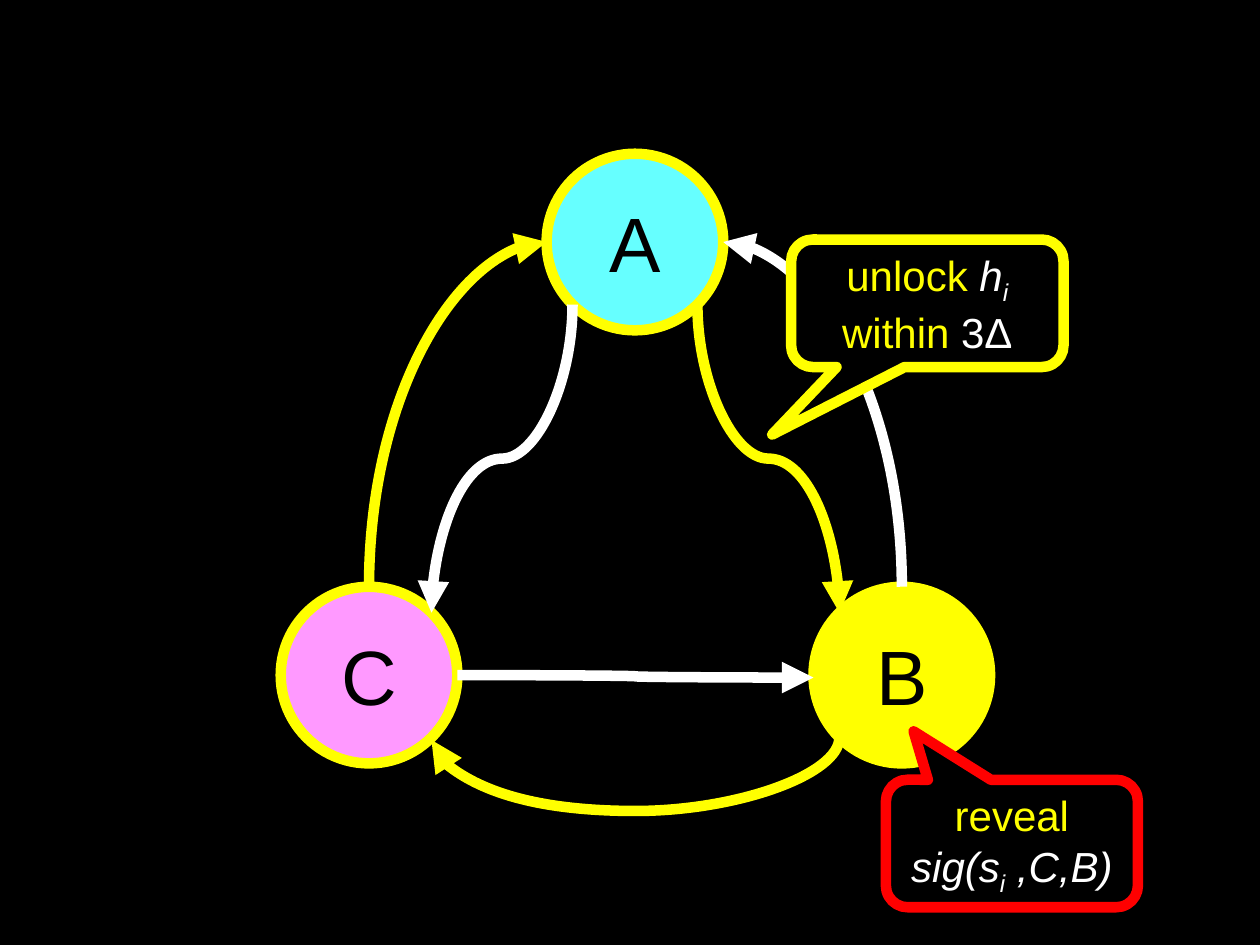
import math

import pptx
import pptx.dml.color
import pptx.enum.shapes
import pptx.enum.text
import pptx.oxml
import pptx.oxml.ns
import pptx.util
from pptx.util import Cm

SHAPES = pptx.enum.shapes.MSO_SHAPE
BLACK, WHITE, YELLOW, RED = "000000", "FFFFFF", "FFFF00", "FF0000"


def colour(value):
    return pptx.dml.color.RGBColor.from_string(value)


def element(tag, attributes=""):
    namespace = pptx.oxml.ns.nsdecls("a")
    return pptx.oxml.parse_xml(f"<a:{tag} {namespace} {attributes}/>")


class Diagram:
    font = "Arial"
    stroke = pptx.util.Pt(6)
    radius = 1.78

    def __init__(self, page):
        self.page = page
        page.background.fill.solid()
        page.background.fill.fore_color.rgb = colour(BLACK)

    def outline(self, line, value):
        line.width = self.stroke
        line.color.rgb = colour(value)

    def shape(self, kind, place, fill, line, size, spans):
        box = self.page.shapes.add_shape(kind, *map(Cm, place))
        box.shadow.inherit = False
        box.fill.solid()
        box.fill.fore_color.rgb = colour(fill)
        self.outline(box.line, line)
        box.text_frame.word_wrap = True
        box.text_frame.vertical_anchor = pptx.enum.text.MSO_ANCHOR.MIDDLE
        para = box.text_frame.paragraphs[0]
        para.alignment = pptx.enum.text.PP_ALIGN.CENTER
        para.font.name = self.font
        para.font.size = pptx.util.Pt(size)
        for text, value, style in spans:
            span = para.add_run()
            span.text = text
            span.font.color.rgb = colour(value)
            if style:
                span.font.italic = True
            if style == "subscript":
                span.font._element.set("baseline", "-25000")
        return box

    def party(self, name, centre, fill):
        left, top = (value - self.radius for value in centre)
        place = (left, top, 2 * self.radius, 2 * self.radius)
        self.shape(SHAPES.OVAL, place, fill, YELLOW, 44, [(name, BLACK, "")])

    def callout(self, place, line, pointer, spans):
        kind = SHAPES.ROUNDED_RECTANGULAR_CALLOUT
        box = self.shape(kind, place, BLACK, line, 24, spans)
        for index, value in enumerate(pointer):
            box.adjustments[index] = value

    def rim(self, centre, degrees, drop=0):
        angle = math.radians(degrees)
        return (centre[0] + self.radius * math.cos(angle),
                centre[1] - self.radius * math.sin(angle) + drop)

    def arrow(self, start, end, value):
        curve = pptx.enum.shapes.MSO_CONNECTOR.CURVE
        link = self.page.shapes.add_connector(curve, *map(Cm, start + end))
        self.outline(link.line, value)
        link.line._get_or_add_ln().append(element("tailEnd", 'type="triangle"'))
        link._element.spPr.append(element("effectLst"))
        return link

    def upright_arrow(self, start, end, value, preset="curvedConnector3", bend=0.5):
        link = self.arrow(start, end, value)
        across, down = end[0] - start[0], end[1] - start[1]
        width, height = abs(down), abs(across)
        link.left = Cm((start[0] + end[0] - width) / 2)
        link.top = Cm((start[1] + end[1] - height) / 2)
        link.width, link.height = Cm(width), Cm(height)
        frame = link._element.spPr.xfrm
        frame.rot = 90 if across * down < 0 else 270
        frame.flipH, frame.flipV = across > 0, down < 0
        geometry = link._element.spPr.find(pptx.oxml.ns.qn("a:prstGeom"))
        geometry.set("prst", preset)
        if bend != 0.5:
            guides = geometry.find(pptx.oxml.ns.qn("a:avLst"))
            if guides is None:
                guides = element("avLst")
                geometry.append(guides)
            guides.append(element("gd", f'name="adj1" fmla="val {round(bend * 100000)}"'))


def main():
    deck = pptx.Presentation()
    deck.slide_width, deck.slide_height = Cm(25.4), Cm(19.05)
    diagram = Diagram(deck.slides.add_slide(deck.slide_layouts[6]))
    rim = diagram.rim
    a, b, c = (12.8, 4.88), (18.18, 13.61), (7.44, 13.61)

    for name, centre, fill in (("A", a, "66FFFF"), ("B", b, YELLOW), ("C", c, "FF99FF")):
        diagram.party(name, centre, fill)

    diagram.upright_arrow(rim(c, 90), rim(a, 180), YELLOW, "curvedConnector2")
    diagram.upright_arrow(rim(a, 225), rim(c, 45), WHITE)
    diagram.upright_arrow(rim(a, 315), rim(b, 135), YELLOW)
    diagram.upright_arrow(rim(b, 90), rim(a, 0), WHITE, "curvedConnector2")
    diagram.arrow(rim(c, 0), rim(b, 180, 0.05), WHITE)
    sag, drop = 1.48, 0.05
    diagram.upright_arrow(rim(b, 225), rim(c, 315, drop), YELLOW, bend=sag / drop)

    diagram.callout((17.86, 15.72, 5.08, 2.57), RED, (-0.39, -0.88, 0.17), [
        ("reveal ", YELLOW, ""), ("sig(s", WHITE, "italic"),
        ("i", WHITE, "subscript"), (" ,C,B)", WHITE, "italic")])
    diagram.callout((15.95, 4.83, 5.49, 2.57), YELLOW, (-0.57, 1.03, 0.17), [
        ("unlock ", YELLOW, ""), ("h", WHITE, "italic"),
        ("i ", WHITE, "subscript"), ("within ", YELLOW, ""), ("3Δ", WHITE, "")])

    deck.save("out.pptx")


if __name__ == "__main__":
    main()
